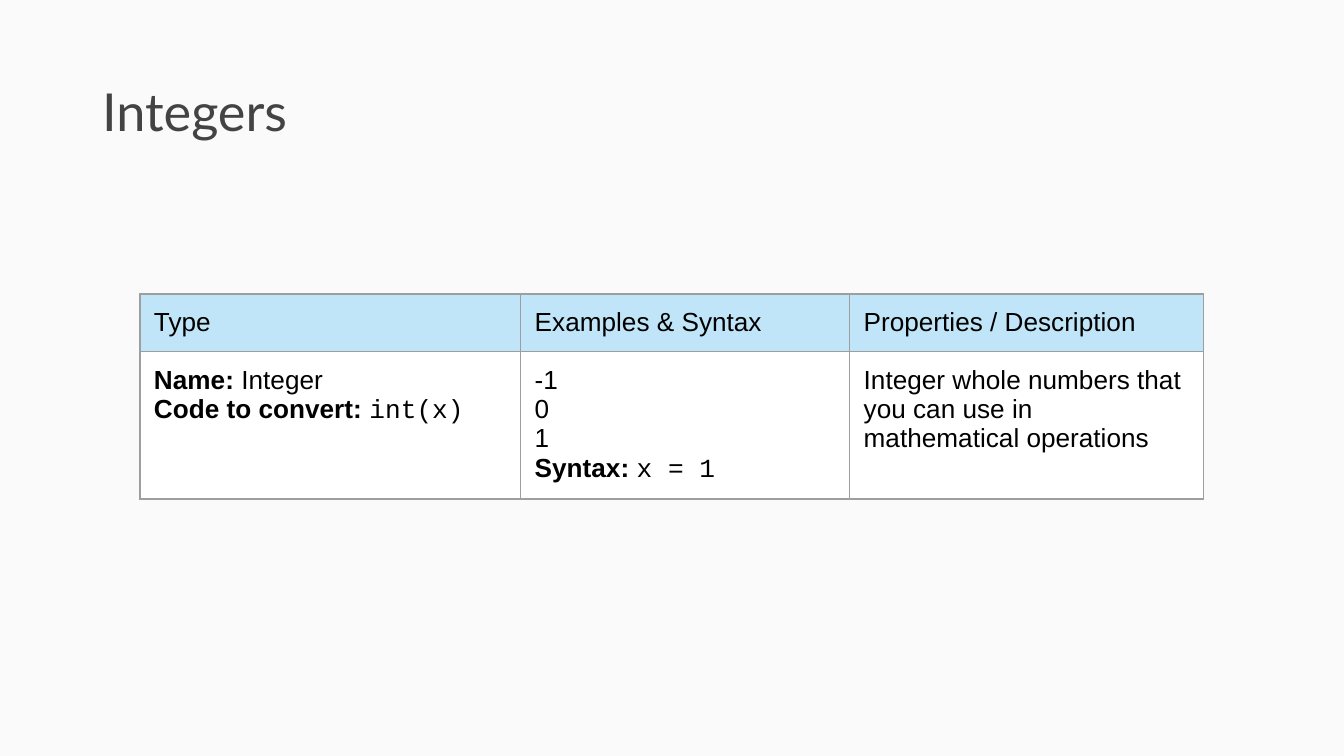
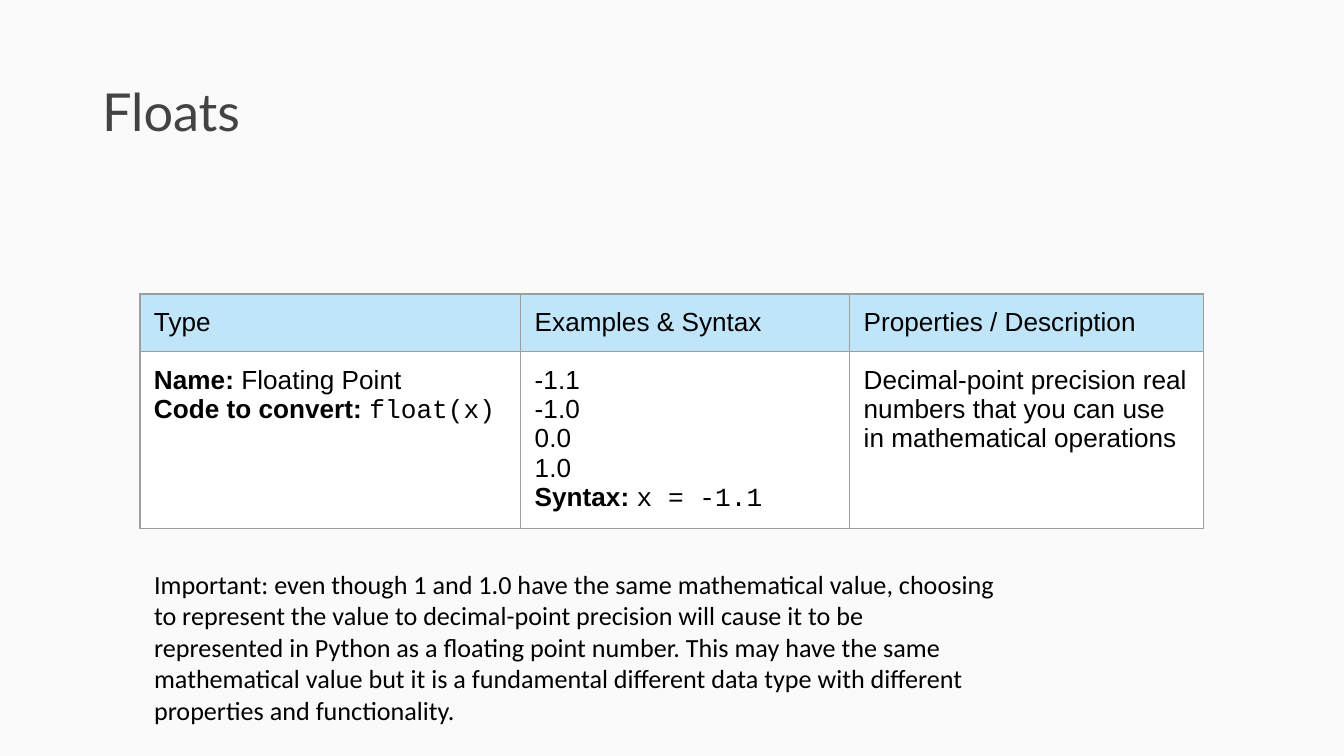
import dataclasses

import lxml.etree
import pptx
import pptx.dml.color
import pptx.enum.text
import pptx.oxml.ns
import pptx.util

PX = 9525  # EMU per px, 96 px to the inch
TITLE_ONLY = 5


@dataclasses.dataclass(frozen=True)
class Theme:
    background: str = "FAFAFA"
    title_color: str = "434343"
    text_color: str = "000000"
    header_fill: str = "C1E5F8"
    body_fill: str = "FFFFFF"
    border: str = "9E9E9E"
    border_px: int = 1
    title_font: str = "Lato"
    table_font: str = "Arial"
    code_font: str = "Courier New"
    note_font: str = "Calibri"
    title_size: int = 28
    text_size: int = 14


THEME = Theme()
HEADERS = ["Type", "Examples & Syntax", "Properties / Description"]
COLUMNS = [272, 235, 253]
ROW_HEIGHT = 40
TABLE_LEFT, TABLE_TOP = 100, 210
PADDING = 10

NOTE = (
    "Important: even though 1 and 1.0 have the same mathematical value, "
    "choosing to represent the value to decimal-point precision will cause it "
    "to be represented in Python as a floating point number. This may have the "
    "same mathematical value but it is a fundamental different data type with "
    "different properties and functionality."
)


def px(*lengths):
    return [pptx.util.Emu(n * PX) for n in lengths]


def rgb(color):
    return pptx.dml.color.RGBColor.from_string(color)


def add_run(p, text, *, font=THEME.table_font, size=THEME.text_size,
            color=THEME.text_color, bold=False):
    r = p.add_run()
    r.text = text
    r.font.name = font
    r.font.size = pptx.util.Pt(size)
    r.font.bold = bold
    r.font.color.rgb = rgb(color)


def set_margins(frame, horizontal, vertical):
    """Set the insets of a text frame or table cell."""
    frame.margin_left, frame.margin_right = px(horizontal, horizontal)
    frame.margin_top, frame.margin_bottom = px(vertical, vertical)


def set_borders(cell):
    """Outline a cell; call before filling it, as the lines come first in XML."""
    tc_pr = cell._tc.get_or_add_tcPr()
    qn = pptx.oxml.ns.qn
    for side in "LRTB":
        ln = lxml.etree.SubElement(tc_pr, qn(f"a:ln{side}"), w=str(THEME.border_px * PX))
        fill = lxml.etree.SubElement(ln, qn("a:solidFill"))
        lxml.etree.SubElement(fill, qn("a:srgbClr"), val=THEME.border)


class Deck:
    def __init__(self, theme):
        self.theme = theme
        self.prs = pptx.Presentation()
        self.prs.slide_width, self.prs.slide_height = px(960, 540)
        fill = self.prs.slide_master.background.fill
        fill.solid()
        fill.fore_color.rgb = rgb(theme.background)

    def slide(self, title):
        self.s = self.prs.slides.add_slide(self.prs.slide_layouts[TITLE_ONLY])
        sp = self.s.shapes.title
        sp.left, sp.top, sp.width, sp.height = px(66, 29, 828, 105)
        tf = sp.text_frame
        tf.word_wrap = True
        tf.auto_size = pptx.enum.text.MSO_AUTO_SIZE.NONE
        tf.vertical_anchor = pptx.enum.text.MSO_ANCHOR.MIDDLE
        set_margins(tf, 7, 4)
        p = tf.paragraphs[0]
        p.alignment = pptx.enum.text.PP_ALIGN.LEFT
        p.line_spacing = 0.9
        add_run(p, title, font=self.theme.title_font,
                size=self.theme.title_size, color=self.theme.title_color)

    def cell(self, cell, lines, fill):
        """Fill a cell; a line is plain text or (label, value, value font)."""
        set_borders(cell)
        set_margins(cell, PADDING, PADDING)
        cell.fill.solid()
        cell.fill.fore_color.rgb = rgb(fill)
        tf = cell.text_frame
        for i, line in enumerate(lines):
            p = tf.add_paragraph() if i else tf.paragraphs[0]
            if isinstance(line, str):
                add_run(p, line)
            else:
                label, value, font = line
                add_run(p, f"{label}: ", bold=True)
                add_run(p, value, font=font)

    def type_table(self, name, convert, examples, syntax, description):
        th = self.theme
        body = [
            [("Name", name, th.table_font), ("Code to convert", convert, th.code_font)],
            [*examples, ("Syntax", syntax, th.code_font)],
            [description],
        ]
        table = self.s.shapes.add_table(
            2, len(COLUMNS),
            *px(TABLE_LEFT, TABLE_TOP, sum(COLUMNS), 2 * ROW_HEIGHT)).table
        table.first_row = table.horz_banding = False
        for row in table.rows:
            row.height, = px(ROW_HEIGHT)
        for i, (width, header, lines) in enumerate(zip(COLUMNS, HEADERS, body)):
            table.columns[i].width, = px(width)
            self.cell(table.cell(0, i), [header], th.header_fill)
            self.cell(table.cell(1, i), lines, th.body_fill)

    def note(self, text):
        tf = self.s.shapes.add_textbox(*px(TABLE_LEFT, 396, 622, 132)).text_frame
        tf.word_wrap = True
        tf.auto_size = pptx.enum.text.MSO_AUTO_SIZE.SHAPE_TO_FIT_TEXT
        set_margins(tf, PADDING, PADDING)
        add_run(tf.paragraphs[0], text, font=self.theme.note_font)


def main():
    deck = Deck(THEME)

    deck.slide("Integers")
    deck.type_table("Integer", "int(x)", ["-1", "0", "1"], "x = 1",
                    "Integer whole numbers that you can use in mathematical operations")

    deck.slide("Floats")
    deck.type_table("Floating Point", "float(x)", ["-1.1", "-1.0", "0.0", "1.0"], "x = -1.1",
                    "Decimal-point precision real numbers that you can use in "
                    "mathematical operations")
    deck.note(NOTE)

    deck.prs.save("out.pptx")


if __name__ == "__main__":
    main()
